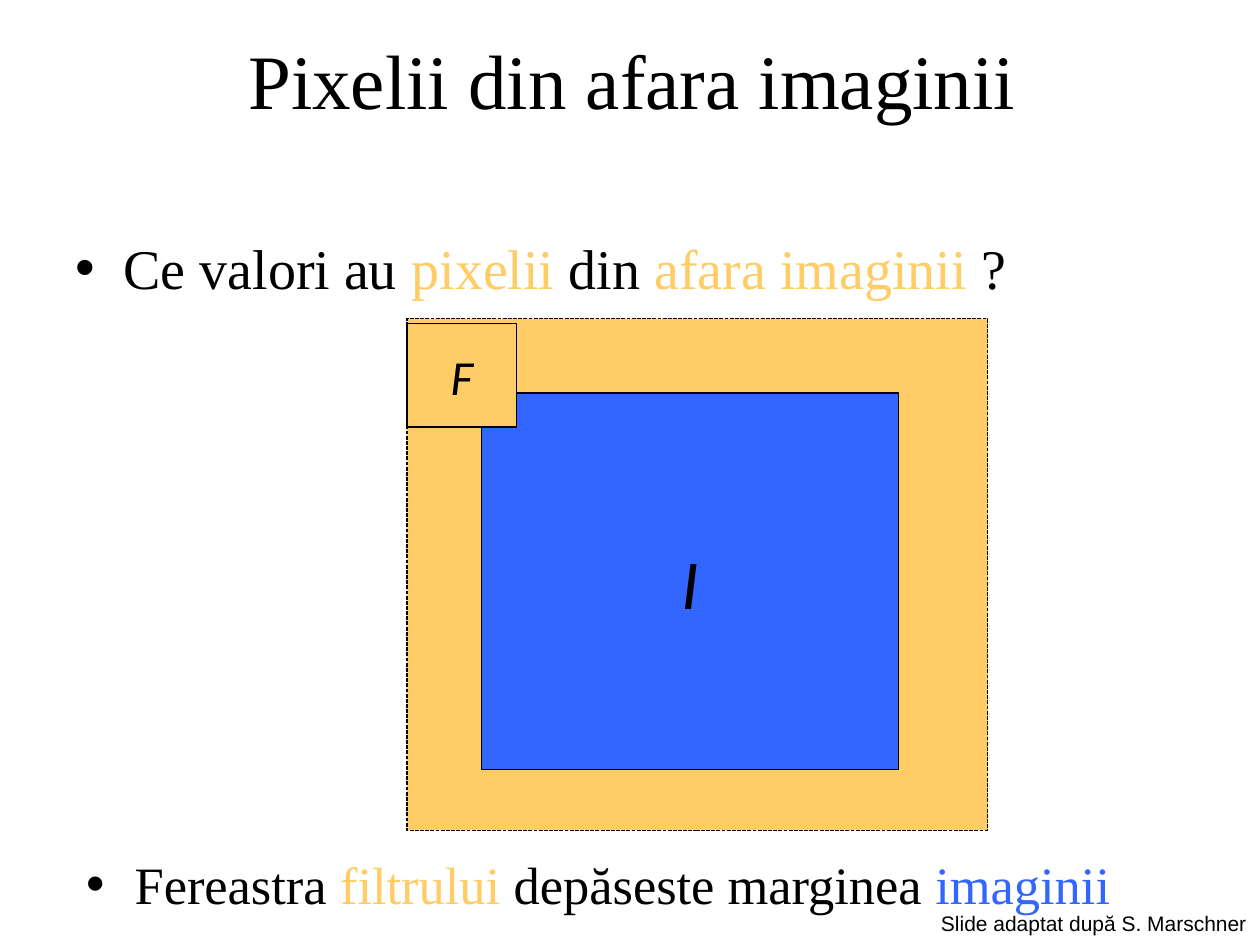
"""Build the slide about pixels that lie outside the image."""
import pptx
import pptx.dml.color
import pptx.enum.dml
import pptx.enum.shapes
import pptx.enum.text
import pptx.oxml
import pptx.oxml.ns
import pptx.util
from pptx.util import Inches

BLACK, FILTER_ORANGE, IMAGE_BLUE = "000000", "FFCC66", "3366FF"
CENTER = pptx.enum.text.PP_ALIGN.CENTER
MIDDLE = pptx.enum.text.MSO_ANCHOR.MIDDLE
NO_FIT = pptx.enum.text.MSO_AUTO_SIZE.NONE


def rgb(value):
    """Turn a hex string into a colour."""
    return pptx.dml.color.RGBColor.from_string(value)


def apply_format(target, values):
    """Set each format value on the target."""
    for attribute, value in values.items():
        setattr(target, attribute, value)


def place(item, left, top, width, height):
    """Move and size an item, in inches."""
    box = dict(left=left, top=top, width=width, height=height)
    apply_format(item, {side: Inches(length) for side, length in box.items()})


def write(item, pieces, frame_format, paragraph_format, **font_format):
    """Write coloured pieces of text as one paragraph."""
    apply_format(item.text_frame, frame_format)
    paragraph = item.text_frame.paragraphs[0]
    apply_format(paragraph, paragraph_format)
    for text, color in pieces:
        run = paragraph.add_run()
        run.text = text
        apply_format(run.font, font_format)
        run.font.color.rgb = rgb(color)
    return paragraph


def write_bullet(item, pieces, size):
    """Write a bulleted paragraph with a hanging indent."""
    paragraph = write(item, pieces, dict(word_wrap=True, auto_size=NO_FIT),
                      dict(space_before=pptx.util.Pt(0)),
                      name="Times New Roman", size=pptx.util.Pt(size))
    properties = paragraph._p.get_or_add_pPr()
    properties.set("marL", str(Inches(0.38)))
    properties.set("indent", str(Inches(-0.38)))
    for tag, attribute, value in (("buFont", "typeface", "Arial"),
                                  ("buChar", "char", "•")):
        bullet = pptx.oxml.parse_xml(
            f'<a:{tag} {pptx.oxml.ns.nsdecls("a")} {attribute}="{value}"/>')
        properties.append(bullet)


def add_region(slide, box, color, label=None, size=None, dash=None):
    """Add an outlined rectangle, with an italic label if given."""
    region = slide.shapes.add_shape(pptx.enum.shapes.MSO_SHAPE.RECTANGLE,
                                    *map(Inches, box))
    region.shadow.inherit = False
    region.fill.solid()
    region.fill.fore_color.rgb = rgb(color)
    region.line.color.rgb = rgb(BLACK)
    apply_format(region.line, dict(width=pptx.util.Pt(0.75), dash_style=dash))
    if label:
        write(region, [(label, BLACK)],
              dict(word_wrap=False, vertical_anchor=MIDDLE),
              dict(alignment=CENTER),
              name="Calibri", size=pptx.util.Pt(size), italic=True)


def main():
    """Build and save the slide."""
    deck = pptx.Presentation()
    deck.slide_width, deck.slide_height = Inches(10), Inches(7.5)
    slide = deck.slides.add_slide(deck.slide_layouts[1])
    title, question = slide.placeholders

    place(title, 0.77, 0, 8.5, 1.25)
    write(title, [("Pixelii din afara imaginii", BLACK)],
          dict(word_wrap=True, auto_size=NO_FIT, vertical_anchor=MIDDLE),
          dict(alignment=CENTER),
          name="Times New Roman", size=pptx.util.Pt(44))

    place(question, 0.5, 1.8, 9, 0.82)
    write_bullet(question, [("Ce valori au ", BLACK), ("pixelii", FILTER_ORANGE),
                            (" din ", BLACK), ("afara imaginii ", FILTER_ORANGE),
                            ("?", BLACK)], 32)

    add_region(slide, (3.23, 2.53, 4.61, 4.06), FILTER_ORANGE,
               dash=pptx.enum.dml.MSO_LINE.SQUARE_DOT)
    add_region(slide, (3.82, 3.12, 3.31, 2.99), IMAGE_BLUE, "I", 40)
    add_region(slide, (3.23, 2.57, 0.87, 0.82), FILTER_ORANGE, "F", 28)

    answer = slide.shapes.add_textbox(*map(Inches, (0.59, 6.71, 9.4, 0.75)))
    write_bullet(answer, [("Fereastra ", BLACK), ("filtrului ", FILTER_ORANGE),
                          ("depăseste marginea ", BLACK),
                          ("imaginii", IMAGE_BLUE)], 30)

    credit = slide.shapes.add_textbox(*map(Inches, (7.37, 7.18, 2.66, 0.3)))
    write(credit, [("Slide adaptat după S. Marschner", BLACK)],
          dict(word_wrap=False,
               auto_size=pptx.enum.text.MSO_AUTO_SIZE.SHAPE_TO_FIT_TEXT),
          {}, name="Arial", size=pptx.util.Pt(12))

    deck.save("out.pptx")


if __name__ == "__main__":
    main()
